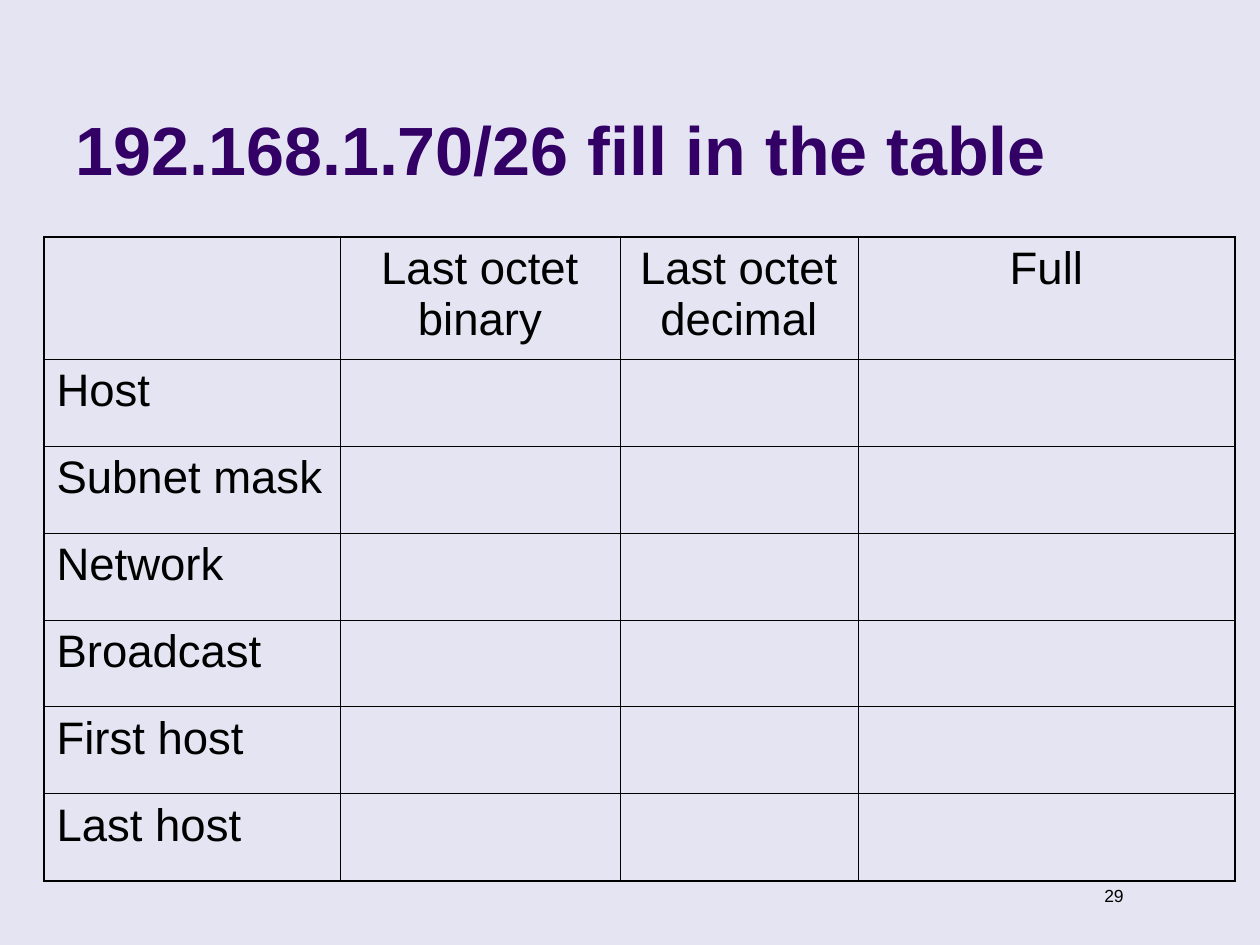
from lxml import etree
from pptx import Presentation
from pptx.dml.color import RGBColor
from pptx.enum.text import MSO_ANCHOR, MSO_AUTO_SIZE, PP_ALIGN
from pptx.oxml.ns import qn
from pptx.util import Pt

LEFT, CENTER, RIGHT = PP_ALIGN.LEFT, PP_ALIGN.CENTER, PP_ALIGN.RIGHT
BOTTOM = MSO_ANCHOR.BOTTOM
NO_AUTOFIT = MSO_AUTO_SIZE.NONE
EMU_PER_INCH = 914400
PX_PER_INCH = 126
FONT = "Arial"
COLORS = {"background": "E4E4F2", "title": "330066", "text": "000000", "border": "000000"}
OUTER_BORDER, INNER_BORDER = 1.08, 0.45
HEADERS = ["", "Last octet binary", "Last octet decimal", "Full"]
ROW_LABELS = ["Host", "Subnet mask", "Network", "Broadcast", "First host", "Last host"]
COLUMN_WIDTHS = [296, 280, 238, 377]
HEADER_HEIGHT, ROW_HEIGHT = 122, 87


def px(length):
    """Turn a length in px into EMU."""
    return round(length * EMU_PER_INCH / PX_PER_INCH)


def color(name):
    """Return the named colour."""
    return RGBColor.from_string(COLORS[name])


def set_text(text_frame, text, size, color_name, alignment, bold=False):
    """Write one paragraph and format its runs."""
    text_frame.text = text
    paragraph = text_frame.paragraphs[0]
    paragraph.alignment = alignment
    for run in paragraph.runs:
        run.font.name = FONT
        run.font.size = Pt(size)
        run.font.bold = bold
        run.font.color.rgb = color(color_name)


def add_title(slide, text):
    """Place and fill the title placeholder."""
    title = slide.shapes.title
    title.left, title.top, title.width, title.height = map(px, (63, 16, 1040, 179))
    text_frame = title.text_frame
    text_frame.auto_size = NO_AUTOFIT
    text_frame.vertical_anchor = BOTTOM
    set_text(text_frame, text, 39, "title", LEFT, bold=True)


def add_page_number(slide, number):
    """Add the page number below the table."""
    box = slide.shapes.add_textbox(*map(px, (1057, 879, 79, 34)))
    box.text_frame.word_wrap = True
    set_text(box.text_frame, number, 10, "text", RIGHT)


def set_borders(cell, outer_sides):
    """Draw the four cell borders, heavier on the outer sides."""
    properties = cell._tc.get_or_add_tcPr()
    for side in "LRTB":
        width = OUTER_BORDER if side in outer_sides else INNER_BORDER
        line = etree.SubElement(properties, qn(f"a:ln{side}"), w=str(Pt(width)))
        fill = etree.SubElement(line, qn("a:solidFill"))
        etree.SubElement(fill, qn("a:srgbClr"), val=COLORS["border"])


def add_subnet_table(slide):
    """Add the table with headers, row labels and empty answer cells."""
    rows = [HEADERS] + [[label, "", "", ""] for label in ROW_LABELS]
    heights = [HEADER_HEIGHT] + [ROW_HEIGHT] * len(ROW_LABELS)
    frame = slide.shapes.add_table(
        len(rows), len(HEADERS), px(44), px(237), px(sum(COLUMN_WIDTHS)), px(sum(heights)))
    table = frame.table
    table.first_row = False
    table.horz_banding = False
    for column, width in zip(table.columns, COLUMN_WIDTHS):
        column.width = px(width)
    for row_index, (row, height) in enumerate(zip(rows, heights)):
        table.rows[row_index].height = px(height)
        for column_index, text in enumerate(row):
            cell = table.cell(row_index, column_index)
            edges = {"L": column_index == 0, "R": column_index == len(row) - 1,
                     "T": row_index == 0, "B": row_index == len(rows) - 1}
            set_borders(cell, [side for side, outer in edges.items() if outer])
            cell.fill.background()
            if text:
                set_text(cell.text_frame, text, 26, "text", LEFT if row_index else CENTER)


def main():
    """Build and save the slide."""
    presentation = Presentation()
    presentation.slide_width, presentation.slide_height = px(1260), px(945)
    slide = presentation.slides.add_slide(presentation.slide_layouts[5])
    slide.background.fill.solid()
    slide.background.fill.fore_color.rgb = color("background")
    add_page_number(slide, "29")
    add_title(slide, "192.168.1.70/26 fill in the table")
    add_subnet_table(slide)
    presentation.save("out.pptx")


if __name__ == "__main__":
    main()
